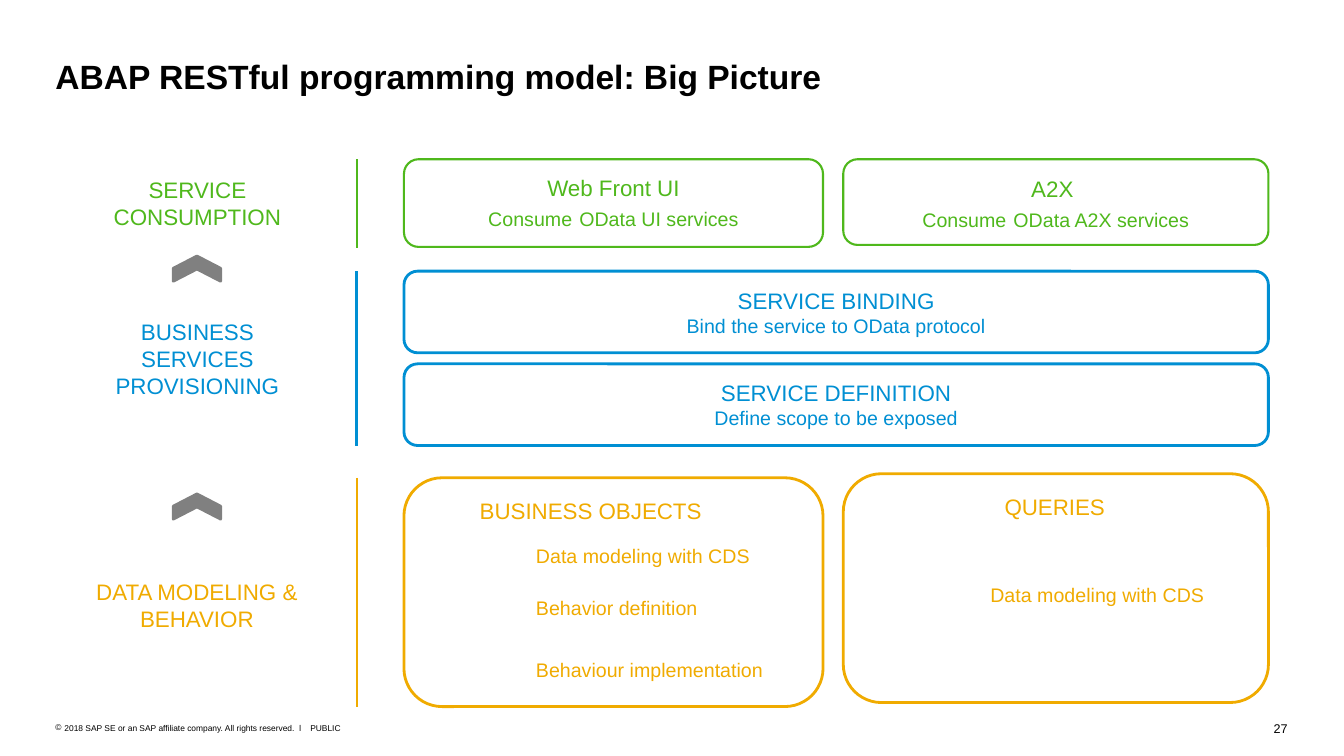
from lxml.etree import SubElement
from pptx import Presentation
from pptx.dml.color import RGBColor
from pptx.enum.shapes import MSO_CONNECTOR, MSO_SHAPE
from pptx.enum.text import MSO_ANCHOR, PP_ALIGN
from pptx.oxml.ns import qn
from pptx.util import Inches, Pt

GREEN, BLUE, GOLD = "4FB81C", "008FD3", "F0AB00"
BLACK, GRAY, WHITE = "000000", "808080", "FFFFFF"
LEFT, RIGHT, SPLIT = 4.01, 8.37, 4.16
WIDE, QUERY = 8.58, 4.22


def color(text):
    """Turn a hex string into a colour."""
    return RGBColor.from_string(text)


def write(frame, lines, tint, align=PP_ALIGN.LEFT, bold=False):
    """Write lines, each a list of (text, size) runs."""
    for index, runs in enumerate(lines):
        para = frame.add_paragraph() if index else frame.paragraphs[0]
        para.alignment = align
        para.space_before = Pt(0)
        for text, size in runs:
            run = para.add_run()
            run.text = text
            run.font.name = "Arial"
            run.font.size = Pt(size)
            run.font.bold = bold
            run.font.color.rgb = color(tint)


def inset(frame, left, top, right, bottom):
    """Set the inner margins of a text frame."""
    frame.margin_left, frame.margin_top = Inches(left), Inches(top)
    frame.margin_right, frame.margin_bottom = Inches(right), Inches(bottom)


def note(slide, box, text, size, tint, align=PP_ALIGN.LEFT, bold=False, wrap=False):
    """Place a text box without margins."""
    frame = slide.shapes.add_textbox(*map(Inches, box)).text_frame
    inset(frame, 0, 0, 0, 0)
    frame.word_wrap = wrap
    write(frame, [[(text, size)]], tint, align, bold)
    return frame


def card(slide, box, lines, tint, line=0, fill=None, pad=0.1,
         anchor=MSO_ANCHOR.MIDDLE):
    """Place a rounded box with centred text."""
    shape = slide.shapes.add_shape(MSO_SHAPE.ROUNDED_RECTANGLE, *map(Inches, box))
    shape.shadow.inherit = False
    if fill:
        shape.fill.solid()
        shape.fill.fore_color.rgb = color(fill)
    else:
        shape.fill.background()
    if line:
        shape.line.color.rgb = color(tint)
        shape.line.width = Pt(line)
    else:
        shape.line.fill.background()
    frame = shape.text_frame
    frame.word_wrap = True
    frame.vertical_anchor = anchor
    inset(frame, 0.1, 0.08, pad, 0.08)
    write(frame, lines, tint, PP_ALIGN.CENTER)
    return shape


def label(slide, box, text, tint, round_by):
    """Place the name of a layer."""
    shape = card(slide, box, [[(text, 16)]], tint, fill=WHITE)
    shape.adjustments[0] = round_by


def rule(slide, top, end, tint, width):
    """Draw the vertical line beside a layer."""
    x = Inches(3.54)
    line = slide.shapes.add_connector(
        MSO_CONNECTOR.STRAIGHT, x, Inches(top), x, Inches(end))
    line.line.color.rgb = color(tint)
    line.line.width = Pt(width)
    SubElement(line._element.spPr, qn("a:effectLst"))


def arrow(slide, top):
    """Place an upward chevron between layers."""
    shape = slide.shapes.add_shape(
        MSO_SHAPE.CHEVRON, *map(Inches, (1.83, top, 0.25, 0.47)))
    shape.rotation = 270
    shape.adjustments[0] = 0.486
    shape.shadow.inherit = False
    shape.fill.solid()
    shape.fill.fore_color.rgb = color(GRAY)
    shape.line.color.rgb = color(GRAY)
    shape.line.width = Pt(2)


def consume(slide, top):
    """Build the service consumption layer."""
    label(slide, (0.89, top + 0.14, 2.14, 0.59), "SERVICE CONSUMPTION", GREEN, 0.174)
    rule(slide, top, top + 0.88, GREEN, 1.5)
    cards = [
        (LEFT, SPLIT, 0.87, [("Web Front UI", 16)], "OData UI services"),
        (RIGHT, QUERY, 0.85, [("A2X", 16), (" ", 18)], "OData A2X services"),
    ]
    for left, width, height, head, service in cards:
        lines = [head, [("Consume", 14), (" ", 18), (service, 14)]]
        card(slide, (left, top, width, height), lines, GREEN, 1.5, WHITE)


def provide(slide, top):
    """Build the business services layer."""
    label(slide, (0.89, top + 0.44, 2.14, 0.85),
          "BUSINESS SERVICES PROVISIONING", BLUE, 0.174)
    rule(slide, top, top + 1.73, BLUE, 2)
    steps = [("SERVICE BINDING", "Bind the service to OData protocol"),
             ("SERVICE DEFINITION", "Define scope to be exposed")]
    for index, (head, body) in enumerate(steps):
        card(slide, (LEFT, top + index * 0.92, WIDE, 0.81),
             [[(head, 16)], [(body, 14)]], BLUE, 2)


def model(slide, top):
    """Build the data modeling layer."""
    label(slide, (0.61, top + 1.02, 2.69, 0.49),
          "DATA MODELING & BEHAVIOR", GOLD, 0.081)
    rule(slide, top, top + 2.27, GOLD, 1.5)
    card(slide, (LEFT, top, SPLIT, 2.27), [[("BUSINESS OBJECTS", 16)]],
         GOLD, 2, pad=0.55, anchor=MSO_ANCHOR.TOP)
    card(slide, (RIGHT, top - 0.04, QUERY, 2.27), [[("QUERIES", 16)]],
         GOLD, 2, pad=0.12, anchor=MSO_ANCHOR.TOP)
    parts = [
        (5.32, 0.66, 2.18, "Data modeling with CDS"),
        (5.32, 1.17, 1.61, "Behavior definition"),
        (5.32, 1.79, 2.26, "Behaviour implementation"),
        (9.83, 1.04, 2.18, "Data modeling with CDS"),
    ]
    for left, down, width, text in parts:
        note(slide, (left, top + down, width, 0.24), text, 14, GOLD)


def footer(slide, top):
    """Place the copyright line and page number."""
    frame = note(slide, (0.55, top, 2.48, 0.1),
                 "2018 SAP SE or an SAP affiliate company. All rights reserved.  ǀ",
                 6, BLACK, wrap=True)
    props = frame.paragraphs[0]._p.get_or_add_pPr()
    props.set("marL", str(Inches(0.09)))
    props.set("indent", str(Inches(-0.09)))
    SubElement(props, qn("a:buFont"), typeface="Arial")
    SubElement(props, qn("a:buChar"), char="©")
    note(slide, (3.08, top, 0.31, 0.1), "PUBLIC", 6, BLACK)
    note(slide, (12.63, top - 0.02, 0.15, 0.15), "27", 9, BLACK, PP_ALIGN.RIGHT)


def main():
    """Build and save the slide."""
    deck = Presentation()
    deck.slide_width, deck.slide_height = Inches(13.34), Inches(7.5)
    slide = deck.slides.add_slide(deck.slide_layouts[6])
    note(slide, (0.55, 0.55, 12.23, 0.4),
         "ABAP RESTful programming model: Big Picture", 24, BLACK,
         bold=True, wrap=True)
    consume(slide, 1.58)
    provide(slide, 2.69)
    model(slide, 4.74)
    for top in (2.43, 4.79):
        arrow(slide, top)
    footer(slide, 7.17)
    deck.save("out.pptx")


if __name__ == "__main__":
    main()
